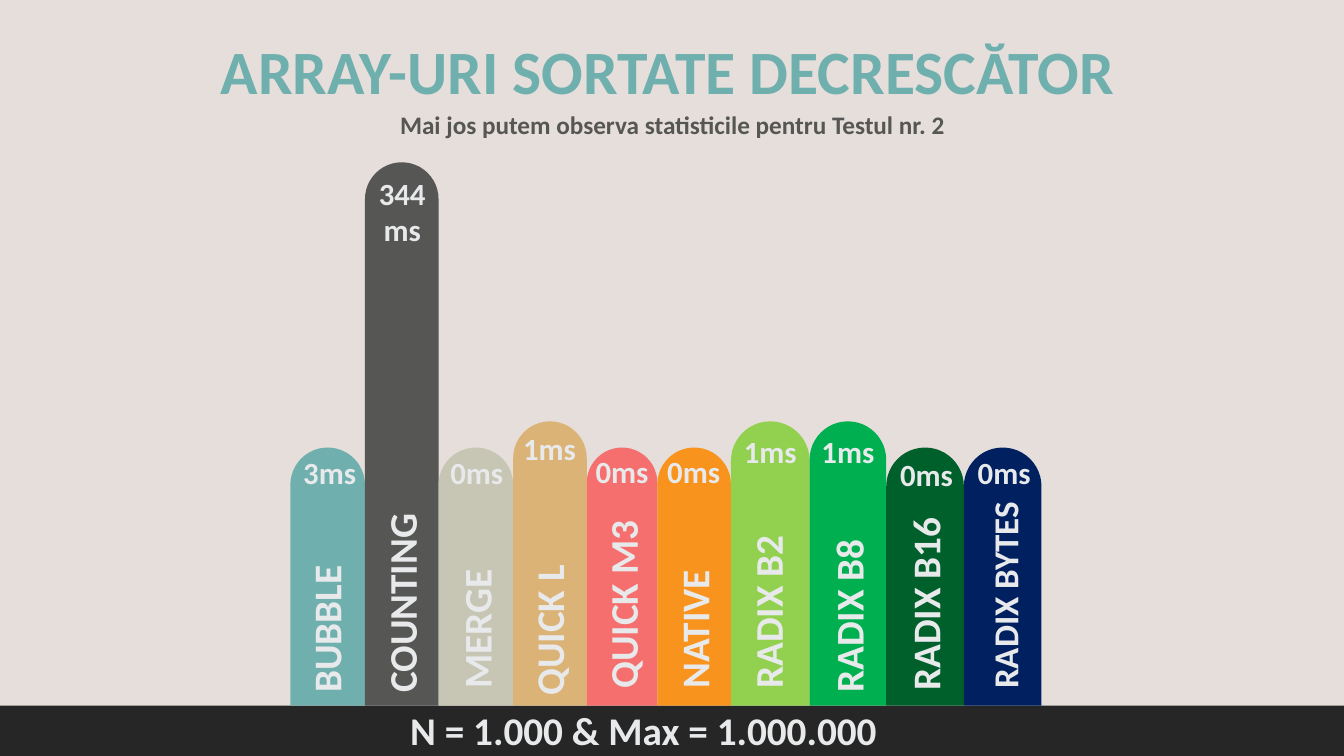
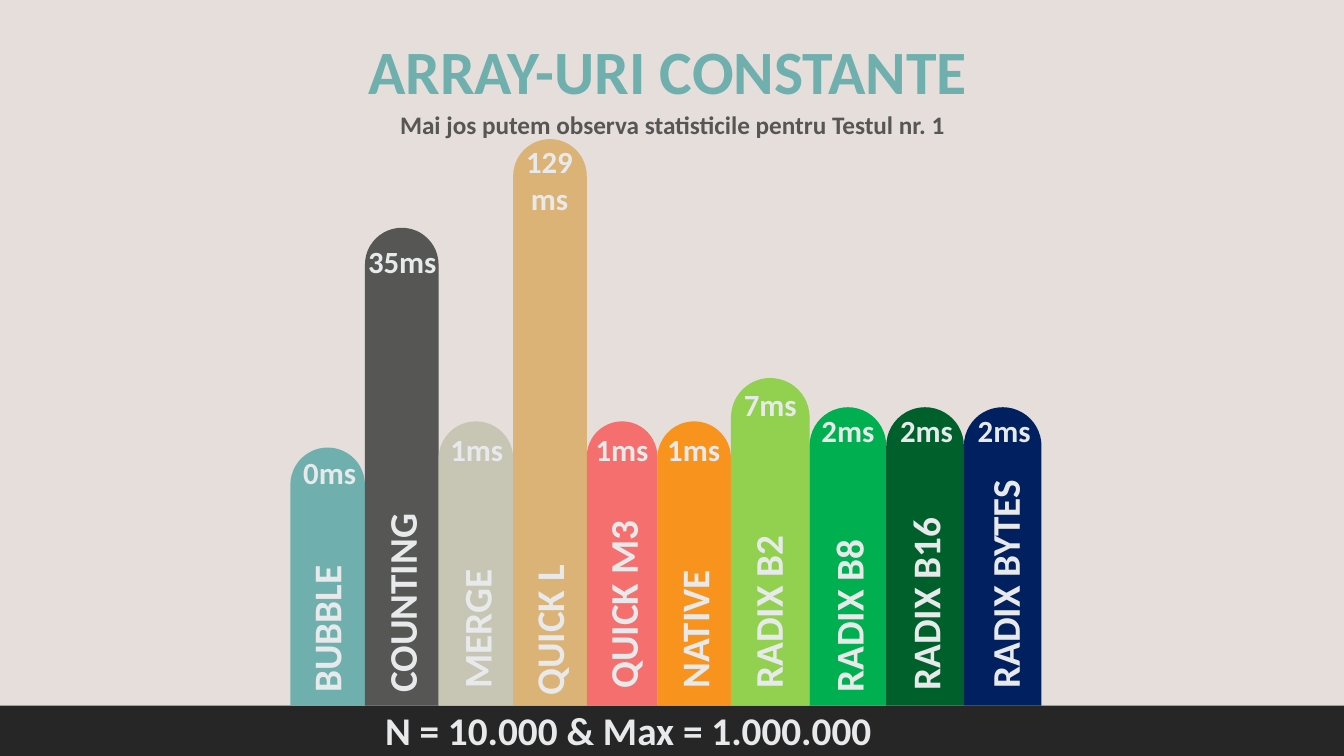
"""Build two slides of bar diagrams comparing sorting times."""
from dataclasses import dataclass

from pptx import Presentation
from pptx.dml.color import RGBColor
from pptx.enum.shapes import MSO_SHAPE
from pptx.enum.text import MSO_ANCHOR, MSO_AUTO_SIZE, PP_ALIGN
from pptx.util import Inches, Pt

BAND = MSO_SHAPE.RECTANGLE
BAR = MSO_SHAPE.ROUND_2_SAME_RECTANGLE
LEFT, CENTER = PP_ALIGN.LEFT, PP_ALIGN.CENTER
TOP, MIDDLE = MSO_ANCHOR.TOP, MSO_ANCHOR.MIDDLE
NO_AUTOFIT = MSO_AUTO_SIZE.NONE


@dataclass(frozen=True)
class Theme:
    """Colours, font and type sizes of the deck."""
    font: str = "Calibri"
    background: str = "E5DEDB"
    band: str = "262626"
    title: str = "6FB0AE"
    subtitle: str = "565654"
    light: str = "E8E9EB"
    title_size: int = 44
    subtitle_size: int = 18
    label_size: int = 28
    value_size: int = 22


THEME = Theme()
WIDTH, HEIGHT = 13.33, 7.5
BASE = 7.0
BARS_END = 10.33
LABEL_LENGTH, LABEL_HEIGHT = 2.75, 0.57
VALUE_WIDTH, VALUE_HEIGHT = 0.96, 0.47

# name, colour, bar left, label centre, label foot, value centre
COLUMNS = [
    ("BUBBLE", "6FB0AE", 2.88, 3.23, 6.97, 3.27),
    ("COUNTING", "565654", 3.62, 3.98, 6.97, 3.99),
    ("MERGE", "C7C6B4", 4.35, 4.72, 6.93, 4.73),
    ("QUICK L", "DCB376", 5.09, 5.44, 7.0, 5.45),
    ("QUICK M3", "F46F6E", 5.82, 6.17, 6.93, 6.17),
    ("NATIVE", "F8931D", 6.52, 6.88, 6.93, 6.88),
    ("RADIX B2", "92D050", 7.25, 7.61, 6.93, 7.64),
    ("RADIX B8", "00B050", 8.03, 8.41, 6.97, 8.41),
    ("RADIX B16", "00602B", 8.79, 9.17, 6.95, 9.19),
    ("RADIX BYTES", "002060", 9.56, 9.96, 6.93, 9.96),
]

# each bar: value, bar top, value top
SLIDES = [
    {
        "title": "ARRAY-URI SORTATE DECRESCĂTOR",
        "subtitle": "Mai jos putem observa statisticile pentru Testul nr. 2",
        "footer": "N = 1.000 & Max = 1.000.000",
        "footer_left": 3.97,
        "label_sizes": {"RADIX BYTES": 25},
        "bars": [
            ("3ms", 4.44, 4.45), ("344\nms", 1.61, 1.68),
            ("0ms", 4.44, 4.45), ("1ms", 4.18, 4.21),
            ("0ms", 4.44, 4.44), ("0ms", 4.44, 4.44),
            ("1ms", 4.18, 4.24), ("1ms", 4.18, 4.24),
            ("0ms", 4.44, 4.47), ("0ms", 4.44, 4.45),
        ],
    },
    {
        "title": "ARRAY-URI CONSTANTE",
        "subtitle": "Mai jos putem observa statisticile pentru Testul nr. 1",
        "footer": "N = 10.000 & Max = 1.000.000",
        "footer_left": 3.72,
        "label_sizes": {},
        "bars": [
            ("0ms", 4.44, 4.45), ("35ms", 2.26, 2.36),
            ("1ms", 4.18, 4.22), ("129\nms", 1.38, 1.37),
            ("1ms", 4.18, 4.22), ("1ms", 4.18, 4.22),
            ("7ms", 3.75, 3.78), ("2ms", 4.04, 4.04),
            ("2ms", 4.04, 4.04), ("2ms", 4.04, 4.04),
        ],
    },
]


def write(box, text, size, color, align=CENTER, anchor=TOP):
    """Fill a box with bold text in the deck font."""
    frame = box.text_frame
    frame.text = text
    frame.word_wrap = True
    frame.auto_size = NO_AUTOFIT
    frame.vertical_anchor = anchor
    for para in frame.paragraphs:
        para.alignment = align
        para.font.name = THEME.font
        para.font.size = Pt(size)
        para.font.bold = True
        para.font.color.rgb = RGBColor.from_string(color)


def add_text(page, area, text, size, color, **style):
    """Add a text box and return it."""
    box = page.shapes.add_textbox(*map(Inches, area))
    write(box, text, size, color, **style)
    return box


def add_block(page, kind, area, color):
    """Add a plain filled shape and return it."""
    block = page.shapes.add_shape(kind, *map(Inches, area))
    block.shadow.inherit = False
    block.fill.solid()
    block.fill.fore_color.rgb = RGBColor.from_string(color)
    block.line.fill.background()
    return block


def style_master(deck, page):
    """Give the master its background and bottom band."""
    master = deck.slide_master
    master.background.fill.solid()
    master.background.fill.fore_color.rgb = RGBColor.from_string(THEME.background)
    band = add_block(page, BAND, (0, BASE, WIDTH, HEIGHT - BASE), THEME.band)
    master.shapes.element.insert(2, band.element)


def add_heading(page, content):
    """Place the title and subtitle."""
    title = page.shapes.title
    title.left, title.top, title.width, title.height = map(
        Inches, (1.55, 0.28, 10.15, 0.84))
    write(title, content["title"], THEME.title_size, THEME.title)
    add_text(page, (3.1, 1.04, 7.14, 0.4), content["subtitle"],
             THEME.subtitle_size, THEME.subtitle)


def add_bars(page, content):
    """Draw the bars, then their names and values."""
    edges = [column[2] for column in COLUMNS] + [BARS_END]
    for index, (value, top, value_top) in enumerate(content["bars"]):
        area = (edges[index], top, edges[index + 1] - edges[index], BASE - top)
        bar = add_block(page, BAR, area, COLUMNS[index][1])
        bar.adjustments[0], bar.adjustments[1] = 0.5, 0

    for column, (value, top, value_top) in zip(COLUMNS, content["bars"]):
        name, color, left, label_center, foot, value_center = column
        label_area = (label_center - LABEL_LENGTH / 2,
                      foot - LABEL_LENGTH / 2 - LABEL_HEIGHT / 2,
                      LABEL_LENGTH, LABEL_HEIGHT)
        size = content["label_sizes"].get(name, THEME.label_size)
        label = add_text(page, label_area, name, size, THEME.light,
                         align=LEFT, anchor=MIDDLE)
        label.rotation = 270
        lines = value.count("\n") + 1
        add_text(page, (value_center - VALUE_WIDTH / 2, value_top,
                        VALUE_WIDTH, VALUE_HEIGHT * lines),
                 value, THEME.value_size, THEME.light)


def main():
    """Build and save the deck."""
    deck = Presentation()
    deck.slide_width, deck.slide_height = Inches(WIDTH), Inches(HEIGHT)
    title_only = deck.slide_layouts[5]
    for number, content in enumerate(SLIDES):
        page = deck.slides.add_slide(title_only)
        if number == 0:
            style_master(deck, page)
        add_heading(page, content)
        add_bars(page, content)
        add_text(page, (content["footer_left"], 6.96, 6.88, 0.57),
                 content["footer"], THEME.label_size, THEME.light, align=LEFT)
    deck.save("out.pptx")


if __name__ == "__main__":
    main()
